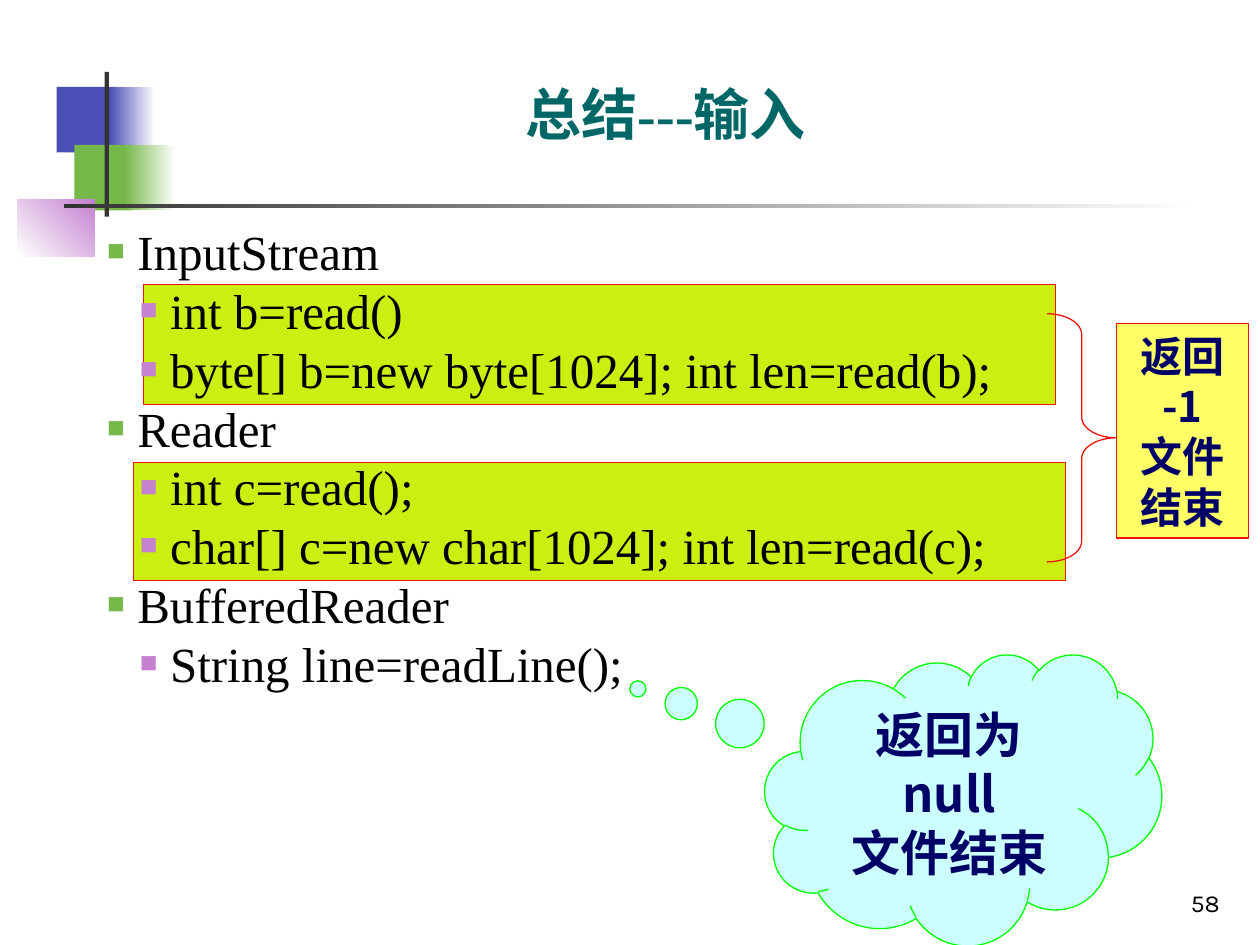
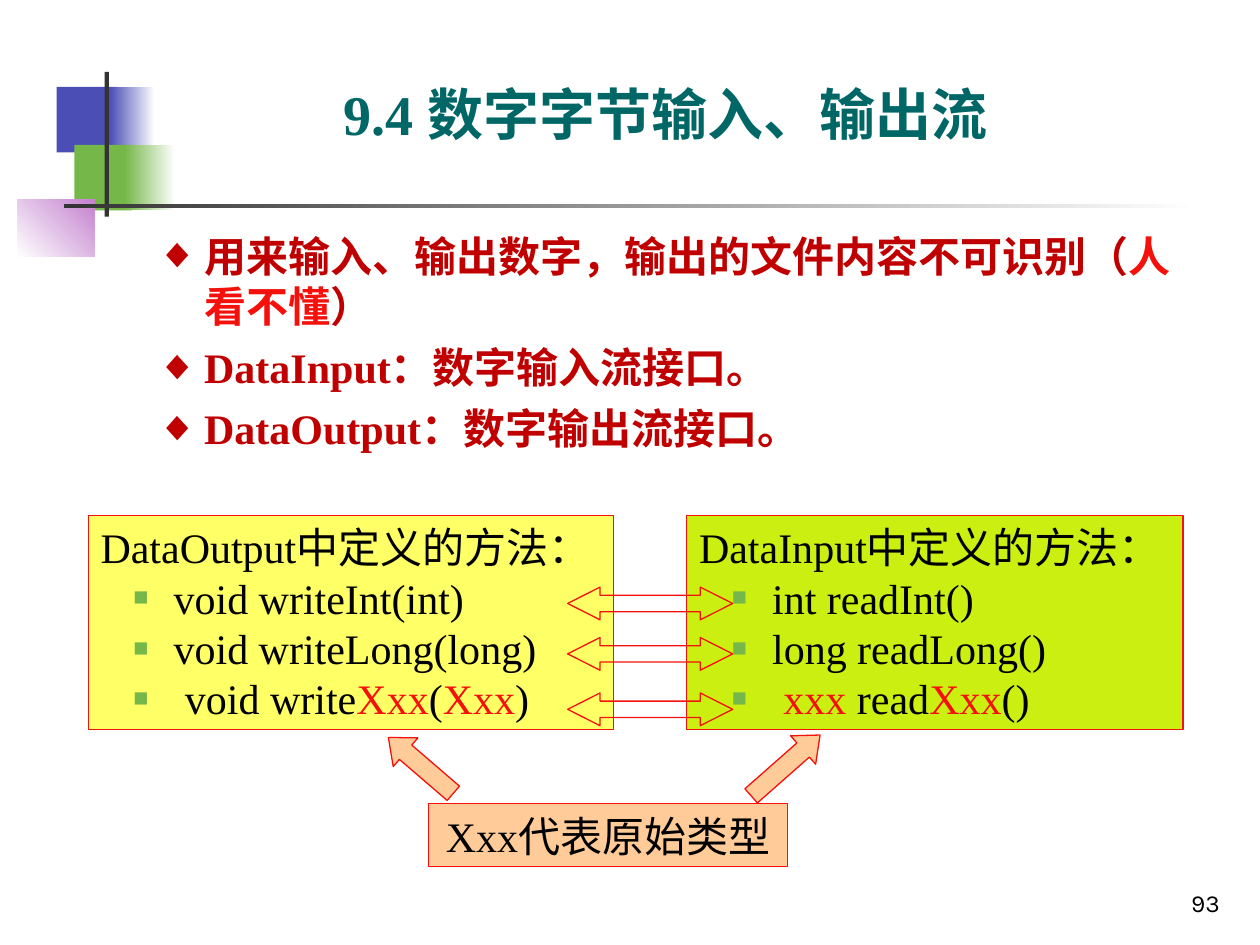
import lxml.etree
import pptx
import pptx.dml.color
import pptx.enum.shapes
import pptx.enum.text
import pptx.oxml.ns
import pptx.util

SHAPE = pptx.enum.shapes.MSO_SHAPE
ALIGN = pptx.enum.text.PP_ALIGN
ANCHOR = pptx.enum.text.MSO_ANCHOR

# Grid: 100 columns by 75 rows on a 10 by 7.5 inch slide
COLUMNS, ROWS = 100, 75
CELL = pptx.util.Inches(0.1)

SERIF, CJK, NUMBER_FONT = "Times New Roman", "Noto Sans CJK SC", "Karla"
BLACK, WHITE, DARK = "000000", "FFFFFF", "333333"
BLUE, GREEN, PURPLE = "4B4EB5", "76B749", "C481CF"
RED, CRIMSON, TEAL, NAVY = "F5110B", "C00000", "006666", "000066"
LIME, YELLOW, PEACH, AQUA, CLOUD_LINE = "CAEF11", "FFFF66", "FFCC99", "CCFFFF", "00FF00"

TITLE_FORMAT = {"name": SERIF, "size": 32, "bold": True, "color": TEAL}
CODE_FORMAT = {"name": SERIF, "size": 28, "bold": False, "color": BLACK}
METHOD_FORMAT = {**CODE_FORMAT, "size": 24}
POINT_FORMAT = {"name": SERIF, "size": 24, "bold": True, "color": CRIMSON}
NOTE_FORMAT = {"name": CJK, "size": 24, "bold": True, "color": NAVY}
CLOUD_FORMAT = {**NOTE_FORMAT, "size": 28}
NUMBER_FORMAT = {"name": NUMBER_FONT, "size": 14, "bold": False, "color": BLACK}


def rgb(color):
    return pptx.dml.color.RGBColor.from_string(color)


def set_attributes(target, values):
    for name, value in values.items():
        setattr(target, name, value)


def place(shape, left, top, width, height):
    cells = {"left": left, "top": top, "width": width, "height": height}
    set_attributes(shape, {name: round(count * CELL) for name, count in cells.items()})


# Text
def format_run(run, text_format):
    values = dict(text_format)
    color = values.pop("color")
    values["size"] = pptx.util.Pt(values["size"])
    set_attributes(run.font, values)
    run.font.color.rgb = rgb(color)
    east_asian = lxml.etree.SubElement(run.font._element, pptx.oxml.ns.qn("a:ea"))
    east_asian.set("typeface", CJK)


def add_bullet(paragraph, mark, color, margin, hanging, percent=100):
    properties = paragraph._p.get_or_add_pPr()
    properties.set("marL", str(pptx.util.Inches(margin)))
    properties.set("indent", str(-pptx.util.Inches(hanging)))

    def add(parent, tag, **attributes):
        return lxml.etree.SubElement(parent, pptx.oxml.ns.qn(tag), **attributes)

    add(add(properties, "a:buClr"), "a:srgbClr", val=color)
    add(properties, "a:buSzPct", val=str(percent * 1000))
    add(properties, "a:buFont", typeface=SERIF)
    add(properties, "a:buChar", char=mark)


def write(shape, paragraphs, text_format, align=ALIGN.LEFT, anchor=ANCHOR.MIDDLE,
          wrap=True, gap=0):
    """Each paragraph is a text, or (runs, bullet); a run is a text or (text, color)."""
    frame = shape.text_frame
    set_attributes(frame, {"word_wrap": wrap, "vertical_anchor": anchor,
                           "auto_size": pptx.enum.text.MSO_AUTO_SIZE.NONE})
    for index, content in enumerate(paragraphs):
        runs, bullet = ([content], None) if isinstance(content, str) else content
        paragraph = frame.add_paragraph() if index else frame.paragraphs[0]
        if bullet:
            add_bullet(paragraph, **bullet)
        set_attributes(paragraph, {
            "alignment": align,
            "line_spacing": pptx.util.Pt(text_format["size"] * 1.2),
            "space_before": pptx.util.Pt(gap if index else 0),
            "space_after": pptx.util.Pt(0)})
        for piece in runs:
            text, color = (piece, text_format["color"]) if isinstance(piece, str) else piece
            run = paragraph.add_run()
            run.text = text
            format_run(run, {**text_format, "color": color})


def fill_placeholder(placeholder, box, paragraphs, text_format, **options):
    place(placeholder, *box)
    tree = placeholder.element.getparent()
    tree.append(placeholder.element)  # in front of what is drawn so far
    write(placeholder, paragraphs, text_format, **options)


# Shapes
def add_shape(slide, kind, box, fill=None, line=RED, adjustments=(), rotation=0):
    shape = slide.shapes.add_shape(kind, 0, 0, 0, 0)
    place(shape, *box)
    shape.shadow.inherit = False
    shape.rotation = rotation
    for index, value in enumerate(adjustments):
        shape.adjustments[index] = value
    if fill:
        shape.fill.solid()
        shape.fill.fore_color.rgb = rgb(fill)
    else:
        shape.fill.background()
    if line:
        shape.line.color.rgb = rgb(line)
        shape.line.width = pptx.util.Pt(0.75)
    else:
        shape.line.fill.background()
    return shape


def add_fade(slide, box, start, end, angle=0):
    shape = add_shape(slide, SHAPE.RECTANGLE, box, line=None)
    shape.fill.gradient()
    shape.fill.gradient_angle = angle
    for stop, color in zip(shape.fill.gradient_stops, (start, end)):
        stop.color.rgb = rgb(color)


# Shared slide frame
def add_decoration(slide):
    for color, top, solid, fade in ((BLUE, 6.9, (4.5, 4.8), (8.7, 3.6)),
                                    (GREEN, 11.5, (5.9, 4.6), (9.9, 4))):
        add_shape(slide, SHAPE.RECTANGLE, (solid[0], top, solid[1], 5.2), color, None)
        add_fade(slide, (fade[0], top, fade[1], 5.2), color, WHITE)
    add_fade(slide, (1.4, 15.8, 6.1, 4.6), WHITE, PURPLE, 45)
    add_shape(slide, SHAPE.RECTANGLE, (8.3, 5.7, 0.35, 11.5), DARK, None)
    add_fade(slide, (5.1, 16.2, 90, 0.35), DARK, WHITE)


def start_slide(presentation, title, number):
    slide = presentation.slides.add_slide(presentation.slide_layouts[1])
    add_decoration(slide)
    number_box = slide.shapes.add_textbox(0, 0, 0, 0)
    place(number_box, 77, 68.3, 20.8, 5)
    write(number_box, [number], NUMBER_FORMAT, ALIGN.RIGHT, ANCHOR.BOTTOM)
    fill_placeholder(slide.shapes.title, (13, 2.8, 79.7, 12.3), [title], TITLE_FORMAT,
                     align=ALIGN.CENTER)
    return slide


def square(color, margin, hanging=0.24):
    return {"mark": "■", "color": color, "margin": margin, "hanging": hanging,
            "percent": 60}


# Slide: input summary
def build_input_summary(presentation):
    slide = start_slide(presentation, "总结---输入", "58")
    for box in ((10.6, 36.7, 74, 9.4), (11.4, 22.6, 72.4, 9.5)):
        add_shape(slide, SHAPE.RECTANGLE, box, LIME)

    readers = {
        "InputStream": ["int b=read()", "byte[] b=new byte[1024]; int len=read(b);"],
        "Reader": ["int c=read();", "char[] c=new char[1024]; int len=read(c);"],
        "BufferedReader": ["String line=readLine();"],
    }
    lines = []
    for reader, calls in readers.items():
        lines.append(([reader], square(GREEN, 0.24)))
        lines += [([call], square(PURPLE, 0.5)) for call in calls]
    fill_placeholder(slide.placeholders[1], (7.5, 17.1, 74.1, 52.2), lines, CODE_FORMAT,
                     anchor=ANCHOR.TOP)

    add_shape(slide, SHAPE.RIGHT_BRACE, (83.1, 24.9, 5.5, 19.7), adjustments=(0.3, 0.5))
    end_note = add_shape(slide, SHAPE.RECTANGLE, (88.6, 25.7, 10.5, 17), YELLOW)
    write(end_note, ["返回", "-1", "文件结束"], NOTE_FORMAT, ALIGN.CENTER)
    cloud = add_shape(slide, SHAPE.CLOUD_CALLOUT, (60.7, 51.9, 31.5, 23.1), AQUA,
                      CLOUD_LINE, (-0.82, -0.38))
    write(cloud, ["返回为null", "文件结束"], CLOUD_FORMAT, ALIGN.CENTER)


# Slide: data streams
def add_method_box(slide, box, fill, heading, methods):
    margins = (0.58, 0.58, 0.67)
    lines = [heading] + [(runs, square(GREEN, margin, margin - 0.26))
                         for runs, margin in zip(methods, margins)]
    shape = add_shape(slide, SHAPE.RECTANGLE, box, fill)
    write(shape, lines, METHOD_FORMAT, wrap=False)


def build_data_streams(presentation):
    slide = start_slide(presentation, "9.4 数字字节输入、输出流", "93")
    diamond = {"mark": "◆", "color": CRIMSON, "margin": 0.38, "hanging": 0.38}
    points = [["用来输入、输出数字，输出的文件内容不可识别（", ("人看不懂", RED), "）"],
              ["DataInput：数字输入流接口。"],
              ["DataOutput：数字输出流接口。"]]
    fill_placeholder(slide.placeholders[1], (11.4, 17.8, 85, 49.6),
                     [(runs, diamond) for runs in points], POINT_FORMAT,
                     anchor=ANCHOR.TOP, gap=6)

    marked = ("Xxx", RED)
    add_method_box(slide, (54.5, 40.9, 39.4, 17), LIME, "DataInput中定义的方法：",
                   [["int readInt()"], ["long readLong()"],
                    [("xxx", RED), " read", marked, "()"]])
    add_method_box(slide, (7, 40.9, 41.7, 17), YELLOW, "DataOutput中定义的方法：",
                   [["void writeInt(int)"], ["void writeLong(long)"],
                    ["void write", marked, "(", marked, ")"]])

    type_note = add_shape(slide, SHAPE.RECTANGLE, (34, 63.8, 28.5, 5), PEACH)
    write(type_note, ["Xxx代表原始类型"], METHOD_FORMAT, ALIGN.CENTER, wrap=False)
    for left, width, rotation in ((58.7, 7.3, 138.6), (30, 6.8, 40.7)):
        add_shape(slide, SHAPE.LEFT_ARROW, (left, 59.25, width, 3), PEACH,
                  adjustments=(0.5, 0.6), rotation=rotation)
    for top in (46.6, 50.6, 55):
        add_shape(slide, SHAPE.LEFT_RIGHT_ARROW, (45.05, top, 13.1, 2.6),
                  adjustments=(0.5, 0.99))


def main():
    presentation = pptx.Presentation()
    set_attributes(presentation, {"slide_width": COLUMNS * CELL,
                                  "slide_height": ROWS * CELL})
    build_input_summary(presentation)
    build_data_streams(presentation)
    presentation.save("out.pptx")


if __name__ == "__main__":
    main()
